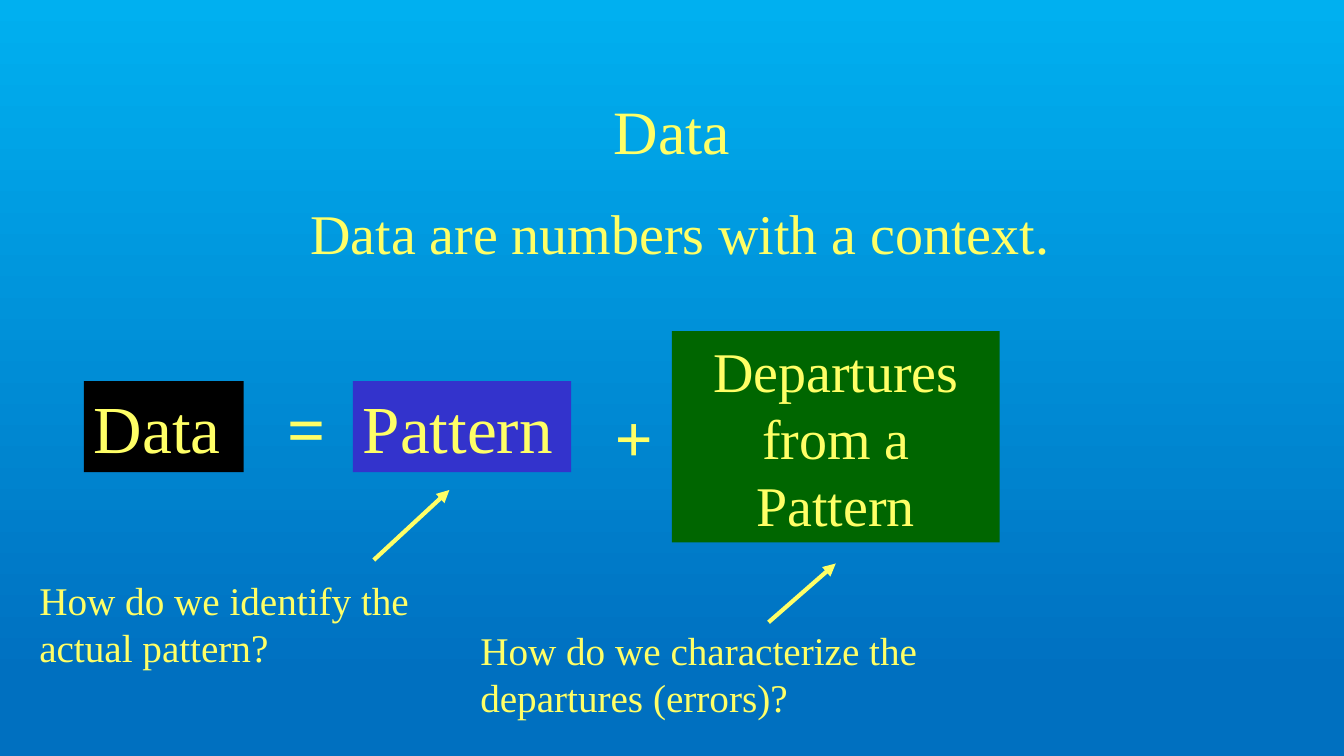
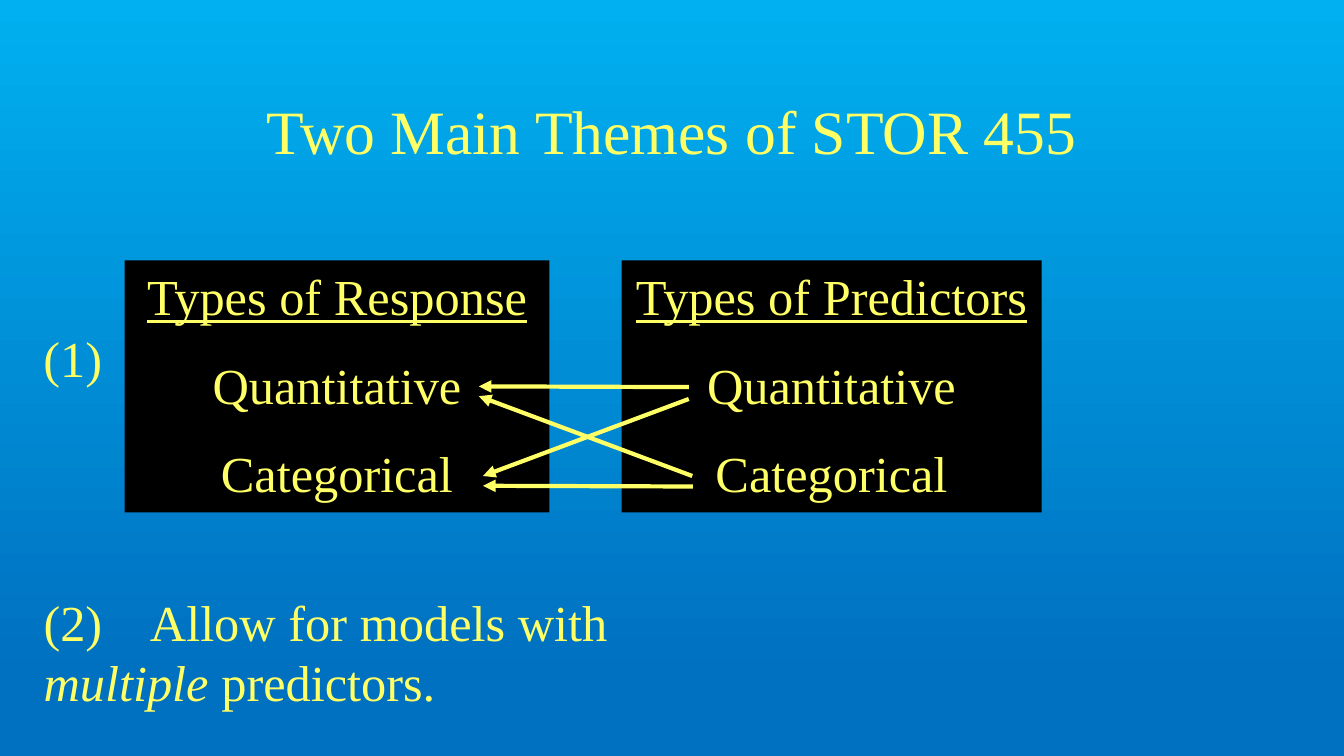
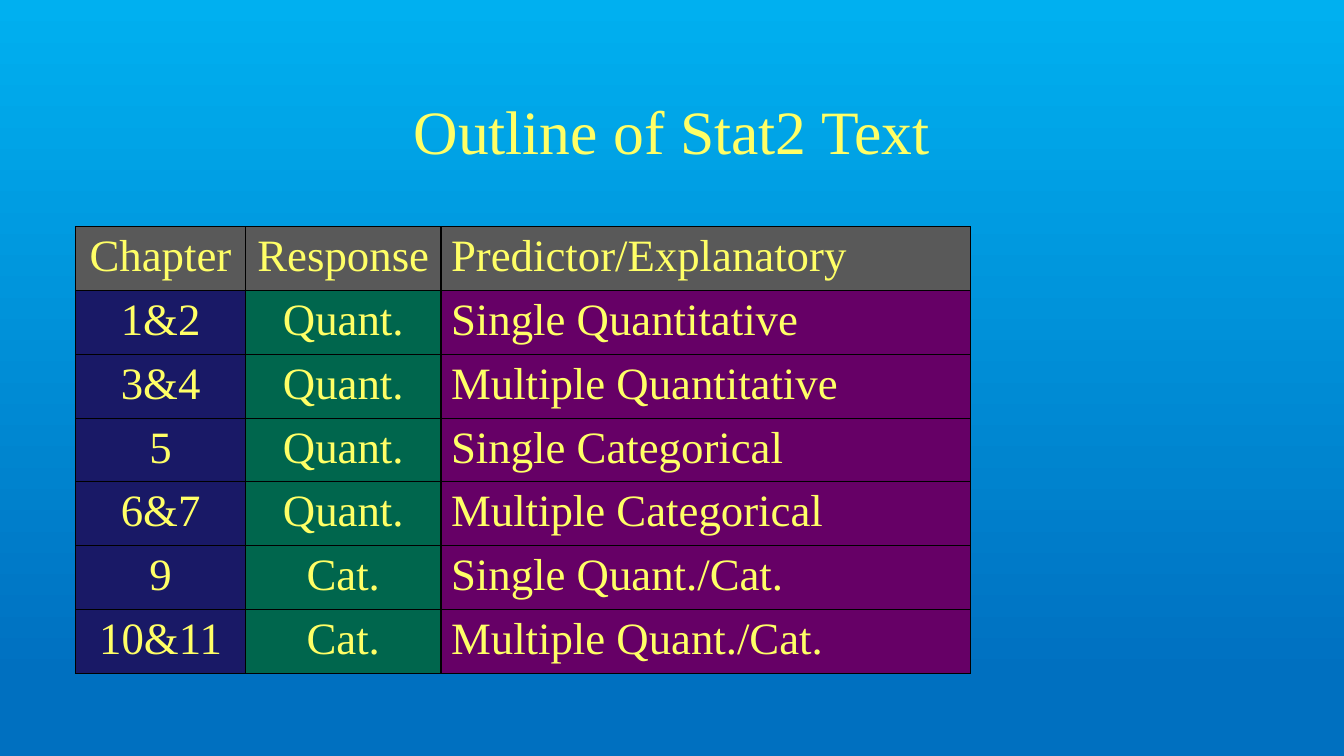
import pptx
import pptx.dml.color
import pptx.enum.shapes
import pptx.enum.text
import pptx.oxml.ns
import pptx.util
from lxml import etree

Pt = pptx.util.Pt
ALIGN = pptx.enum.text.PP_ALIGN
ANCHOR = pptx.enum.text.MSO_ANCHOR

FONT = "Times New Roman"
COLORS = {
    "sky": "00B0F0", "sea": "0070C0", "text": "FFFF66", "black": "000000",
    "pattern": "3333CC", "departures": "006600", "header": "595959",
    "chapter": "191966", "response": "00664D", "predictor": "660066",
}


def color(name):
    return pptx.dml.color.RGBColor.from_string(COLORS[name])


def add_xml(parent, tag, **attributes):
    return etree.SubElement(parent, pptx.oxml.ns.qn(tag), attributes)


# Shared background and title
def set_background(master):
    fill = master.background.fill
    fill.gradient()
    fill.gradient_angle = 270
    for stop, name, position in zip(fill.gradient_stops, ("sky", "sea"), (0, 0.9)):
        stop.color.rgb = color(name)
        stop.position = position


def add_page(deck, title):
    page = deck.slides.add_slide(deck.slide_layouts[5])
    box = page.shapes.title
    box.left, box.top, box.width, box.height = Pt(72), Pt(48), Pt(816), Pt(90)
    write_text(box.text_frame, [title], 44, ALIGN.CENTER)
    box.text_frame.vertical_anchor = ANCHOR.MIDDLE
    return page


# Text
def style_span(span, size, bold=False, italic=False, underline=False):
    font = span.font
    font.name, font.size = FONT, Pt(size)
    font.color.rgb = color("text")
    font.bold, font.italic, font.underline = bold, italic, underline


def write_text(frame, lines, size, align=ALIGN.LEFT, bold=False):
    frame.word_wrap = True
    frame.text = "\n".join(lines)
    for index, para in enumerate(frame.paragraphs):
        para.alignment = align
        if index:
            para.space_before = Pt(20)
        for span in para.runs:
            style_span(span, size, bold)


def add_text(page, left, top, width, height, text, size, align=ALIGN.LEFT, bold=False):
    box = page.shapes.add_textbox(Pt(left), Pt(top), Pt(width), Pt(height))
    write_text(box.text_frame, [text], size, align, bold)
    return box


def add_panel(page, left, top, width, height, fill, lines, size, align=ALIGN.LEFT):
    panel = page.shapes.add_shape(pptx.enum.shapes.MSO_SHAPE.RECTANGLE,
                                  Pt(left), Pt(top), Pt(width), Pt(height))
    panel.shadow.inherit = False
    panel.fill.solid()
    panel.fill.fore_color.rgb = color(fill)
    panel.line.fill.background()
    panel.text_frame.vertical_anchor = ANCHOR.TOP
    write_text(panel.text_frame, lines, size, align)
    return panel


# Arrows
def add_arrow(page, start, end):
    arrow = page.shapes.add_connector(pptx.enum.shapes.MSO_CONNECTOR.STRAIGHT,
                                      *(Pt(value) for value in start + end))
    arrow.line.color.rgb = color("text")
    arrow.line.width = Pt(3)
    add_xml(arrow.line._get_or_add_ln(), "a:tailEnd", type="triangle")
    add_xml(arrow._element.spPr, "a:effectLst")


# Tables
def format_cell(cell, text, fill, align):
    write_text(cell.text_frame, [text], 32, align)
    properties = cell._tc.get_or_add_tcPr()
    for side in ("a:lnL", "a:lnR", "a:lnT", "a:lnB"):
        border = add_xml(properties, side, w=str(Pt(1)))
        add_xml(add_xml(border, "a:solidFill"), "a:srgbClr", val=COLORS["black"])
    cell.fill.solid()
    cell.fill.fore_color.rgb = color(fill)


def add_table(page, left, top, row_height, columns, rows):
    width = sum(column[0] for column in columns)
    table = page.shapes.add_table(len(rows), len(columns), Pt(left), Pt(top),
                                  Pt(width), Pt(row_height * len(rows))).table
    for column, (column_width, _, _) in zip(table.columns, columns):
        column.width = Pt(column_width)
    for row_index, texts in enumerate(rows):
        table.rows[row_index].height = Pt(row_height)
        for column_index, text in enumerate(texts):
            _, fill, align = columns[column_index]
            format_cell(table.cell(row_index, column_index), text,
                        fill if row_index else "header", align)


# Slides
def build_data(deck):
    page = add_page(deck, "Data")
    context = add_text(page, 214, 138, 543.5, 55.5, "Data are numbers with a context.",
                       40, ALIGN.CENTER)
    context.text_frame.vertical_anchor = ANCHOR.MIDDLE

    # Equation
    add_panel(page, 60, 272.25, 114, 65, "black", ["Data"], 48)
    add_text(page, 198, 272.25, 42, 65, "=", 48, bold=True)
    add_panel(page, 252, 272.25, 156, 65, "pattern", ["Pattern"], 48)
    add_text(page, 432, 278.5, 42, 65, "+", 48, bold=True)
    add_panel(page, 480, 236.5, 234, 151, "departures",
              ["Departures from a Pattern"], 40, ALIGN.CENTER)

    # Questions
    add_text(page, 21, 408, 285, 75, "How do we identify the actual pattern?", 28)
    add_arrow(page, (267, 400), (321, 350))
    add_text(page, 336, 444, 330, 75, "How do we characterize the departures (errors)?", 28)
    add_arrow(page, (549, 444.5), (597, 402.5))


def build_themes(deck):
    page = add_page(deck, "Two Main Themes of STOR 455")

    # First theme: every pairing of predictor and response
    for left, width, heading in ((444, 300, "Types of Predictors"),
                                 (89, 303.5, "Types of Response")):
        panel = add_panel(page, left, 186, width, 180, "black",
                          [heading, "Quantitative", "Categorical"], 36, ALIGN.CENTER)
        panel.text_frame.paragraphs[0].runs[0].font.underline = True
    add_text(page, 24, 230, 108, 51, "(1)", 36)
    for start, end in (((492, 276.5), (342, 276)), ((494.5, 340), (342, 283)),
                       ((492, 285), (345, 340)), ((495, 347.5), (345, 347))):
        add_arrow(page, start, end)

    # Second theme
    models = add_text(page, 24, 418.5, 516, 94, "(2)\tAllow for models with ", 36)
    para = models.text_frame.paragraphs[0]
    tabs = add_xml(para._p.get_or_add_pPr(), "a:tabLst")
    add_xml(tabs, "a:tab", pos=str(Pt(76)), algn="l")
    for text, italic in (("multiple", True), (" predictors.", False)):
        span = para.add_run()
        span.text = text
        style_span(span, 36, italic=italic)


def build_outline(deck):
    page = add_page(deck, "Outline of Stat2 Text")
    columns = ((121.5, "chapter", ALIGN.CENTER),
               (139.5, "response", ALIGN.CENTER),
               (378, "predictor", ALIGN.LEFT))
    rows = (("Chapter", "Response", "Predictor/Explanatory"),
            ("1&2", "Quant.", "Single Quantitative"),
            ("3&4", "Quant.", "Multiple Quantitative"),
            ("5", "Quant.", "Single Categorical"),
            ("6&7", "Quant.", "Multiple Categorical"),
            ("9", "Cat.", "Single Quant./Cat."),
            ("10&11", "Cat.", "Multiple Quant./Cat."))
    add_table(page, 54, 162, 45.57, columns, rows)


def main():
    deck = pptx.Presentation()
    deck.slide_width, deck.slide_height = Pt(960), Pt(540)
    set_background(deck.slide_master)
    build_data(deck)
    build_themes(deck)
    build_outline(deck)
    deck.save("out.pptx")


main()
